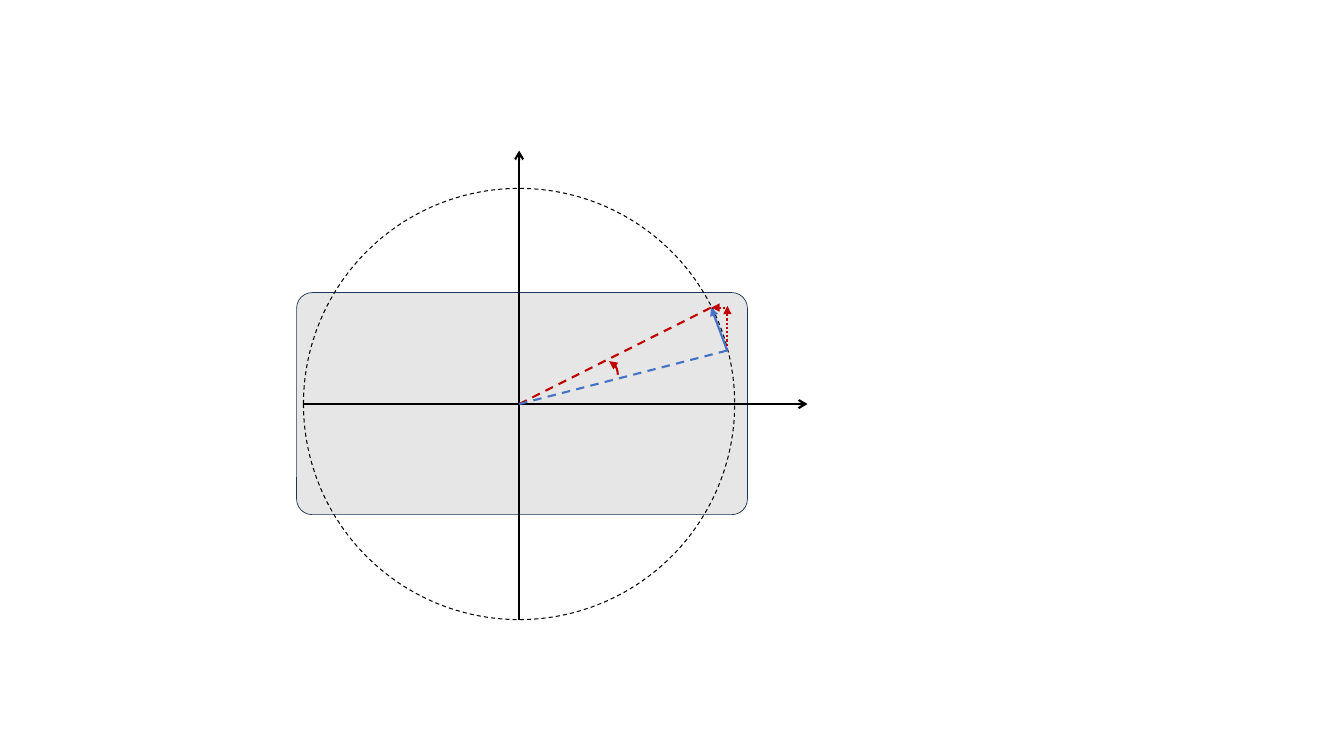
import pptx
import pptx.util
import pptx.dml.color
import pptx.enum.dml
import pptx.enum.shapes
import pptx.oxml.ns
import lxml.etree

Pt = pptx.util.Pt
RGBColor = pptx.dml.color.RGBColor
SHAPE = pptx.enum.shapes.MSO_SHAPE
DASH = pptx.enum.dml.MSO_LINE.DASH
DOT = pptx.enum.dml.MSO_LINE.ROUND_DOT

BLACK = RGBColor(0x00, 0x00, 0x00)
RED = RGBColor(0xC0, 0x00, 0x00)
BLUE = RGBColor(0x44, 0x72, 0xC4)
NAVY = RGBColor(0x1E, 0x32, 0x56)
GREY = RGBColor(0xE7, 0xE6, 0xE6)

# Circle and points on it, in points
CX, CY, R = 370.8, 288.6, 154
START_X, START_Y = 519.4, 250.4
END_X, END_Y = 508, 219.7


def style_line(sp, color, width, dash=None, end=None, arrow=None):
    sp.line.color.rgb = color
    sp.line.width = Pt(width)
    if dash:
        sp.line.dash_style = dash
    if end:
        ln = sp.line._get_or_add_ln()
        lxml.etree.SubElement(ln, pptx.oxml.ns.qn("a:" + end), type=arrow)


def add_shape(kind, x, y, w, h, fill=None):
    sp = s.shapes.add_shape(kind, Pt(x), Pt(y), Pt(w), Pt(h))
    sp.shadow.inherit = False
    if fill:
        sp.fill.solid()
        sp.fill.fore_color.rgb = fill
    else:
        sp.fill.background()
    return sp


prs = pptx.Presentation()
prs.slide_width, prs.slide_height = Pt(960), Pt(540)
s = prs.slides.add_slide(prs.slide_layouts[6])

# Rounded body and its dashed circle
body = add_shape(SHAPE.ROUNDED_RECTANGLE, 211.9, 209, 322, 158.6, GREY)
body.adjustments[0] = 0.07
style_line(body, NAVY, 0.5)
circle = add_shape(SHAPE.OVAL, CX - R, CY - R, 2 * R, 2 * R)
style_line(circle, BLACK, 0.75, DASH)

# Axes, radii and displacement arrows
lines = [
    (CX - R, CY, 576.8, CY, BLACK, None, "tailEnd", "arrow"),
    (CX, CY + R, CX, 107.6, BLACK, None, "tailEnd", "arrow"),
    (CX, CY, END_X, END_Y, RED, DASH, None, None),
    (519.6, 250, 519.6, 218.5, RED, DOT, "tailEnd", "triangle"),
    (END_X, END_Y, 518.6, END_Y, RED, DOT, "headEnd", "triangle"),
    (END_X, END_Y, START_X, START_Y, BLUE, None, "headEnd", "triangle"),
    (CX, CY, START_X, START_Y, BLUE, DASH, None, None),
]
for x1, y1, x2, y2, color, dash, end, arrow in lines:
    cn = s.shapes.add_connector(pptx.enum.shapes.MSO_CONNECTOR.STRAIGHT,
                                Pt(x1), Pt(y1), Pt(x2), Pt(y2))
    style_line(cn, color, 1.5, dash, end, arrow)
    lxml.etree.SubElement(cn._element.spPr, pptx.oxml.ns.qn("a:effectLst"))

# Rotation angle between the radii
arc = add_shape(SHAPE.ARC, 429, 258, 12.4, 21.6)
arc.adjustments[0] = 161.52
arc.adjustments[1] = 209.73
style_line(arc, RED, 1.5, None, "headEnd", "triangle")

prs.save("out.pptx")
